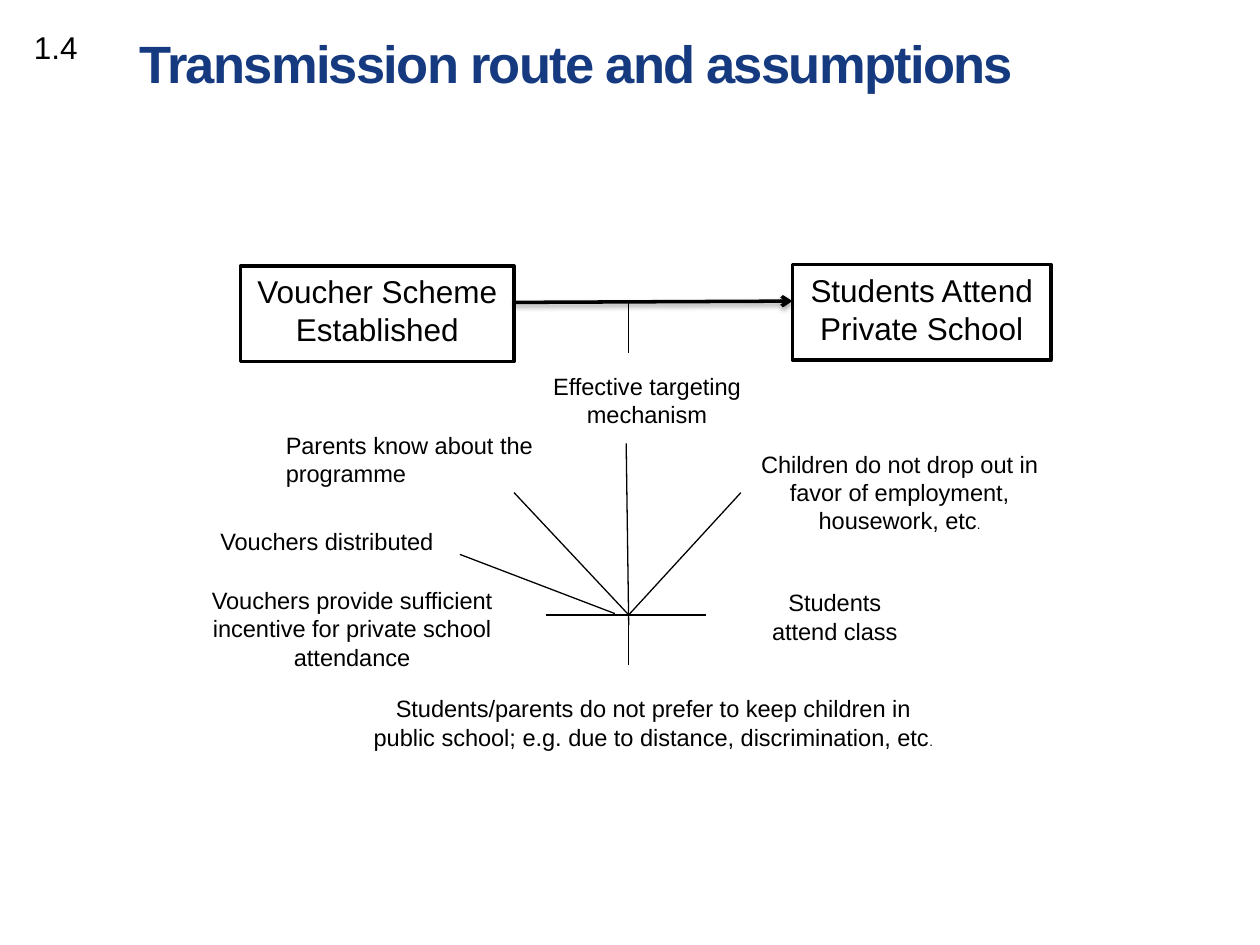
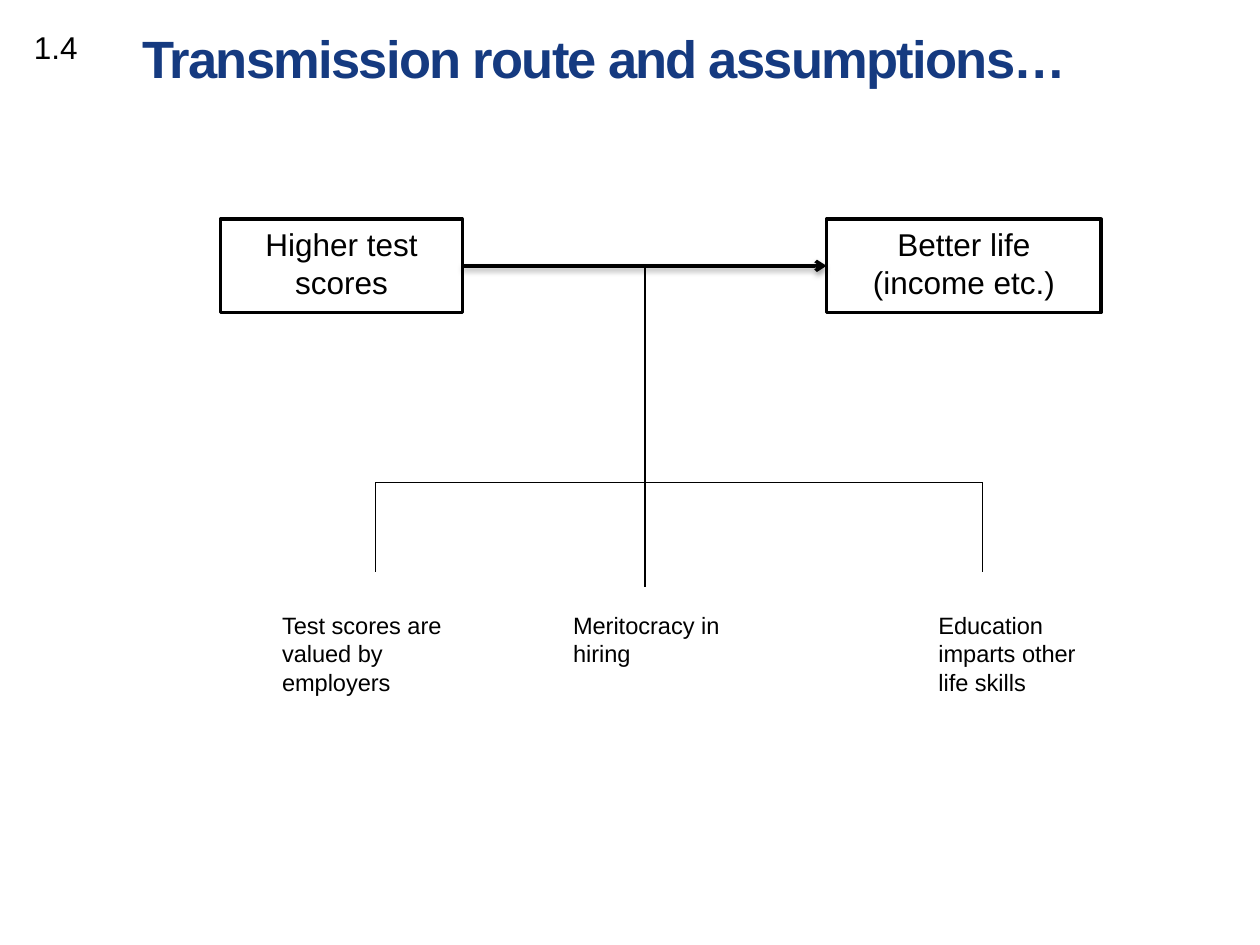
import pptx
import pptx.dml.color
import pptx.enum.shapes
import pptx.enum.text
import pptx.oxml
import pptx.oxml.ns
import pptx.util
from lxml import etree

Inches = pptx.util.Inches
Pt = pptx.util.Pt
Align = pptx.enum.text.PP_ALIGN
Fit = pptx.enum.text.MSO_AUTO_SIZE
LEFT, CENTER = Align.LEFT, Align.CENTER
RIGHT_SIDE, LEFT_SIDE = 3, 1

COLORS = {"title": "153A80", "ink": "000000", "paper": "FFFFFF"}
SHADOW = (
    '<a:effectLst xmlns:a="http://schemas.openxmlformats.org/drawingml/2006/main">'
    '<a:outerShdw blurRad="{blur}" dist="{distance}" dir="5400000" rotWithShape="0">'
    '<a:srgbClr val="{color}"><a:alpha val="38000"/></a:srgbClr>'
    "</a:outerShdw></a:effectLst>"
)


def color(name):
    return pptx.dml.color.RGBColor.from_string(COLORS[name])


class DiagramDeck:
    font_name = "Arial"

    def __init__(self):
        self.deck = pptx.Presentation()
        self.deck.slide_width = Inches(10)
        self.deck.slide_height = Inches(7.5)
        self.page = None

    def add_page(self, title, left, top, width, height):
        self.page = self.deck.slides.add_slide(self.deck.slide_layouts[5])
        self.title(title, left, top, width, height)
        self.label("1.4", 0.17, 0.17, 0.65, 0.4, size=18)

    def style(self, para, size, ink="ink", align=LEFT, bold=False):
        para.alignment = align
        para.font.name = self.font_name
        para.font.size = Pt(size)
        para.font.bold = bold
        para.font.color.rgb = color(ink)

    def title(self, text, left, top, width, height):
        box = self.page.shapes.title
        box.left, box.top = Inches(left), Inches(top)
        box.width, box.height = Inches(width), Inches(height)
        frame = box.text_frame
        frame.text = text
        frame.word_wrap = True
        frame.auto_size = Fit.NONE
        frame.vertical_anchor = pptx.enum.text.MSO_ANCHOR.TOP
        frame.margin_left = frame.margin_right = Inches(0.07)
        frame.margin_top = frame.margin_bottom = Inches(0.04)
        para = frame.paragraphs[0]
        self.style(para, 30, "title", bold=True)
        para.runs[0].font._element.set("spc", "-100")

    def label(self, text, left, top, width, height, align=LEFT, size=13.5, small_end=""):
        box = self.page.shapes.add_textbox(
            Inches(left), Inches(top), Inches(width), Inches(height))
        frame = box.text_frame
        frame.word_wrap = True
        frame.auto_size = Fit.SHAPE_TO_FIT_TEXT
        para = frame.paragraphs[0]
        para.add_run().text = text
        self.style(para, size, align=align)
        if small_end:
            span = para.add_run()
            span.text = small_end
            span.font.size = Pt(7.5)

    def stage(self, text, left, top, width, height):
        box = self.page.shapes.add_shape(
            pptx.enum.shapes.MSO_SHAPE.RECTANGLE,
            Inches(left), Inches(top), Inches(width), Inches(height))
        box.shadow.inherit = False
        box.fill.solid()
        box.fill.fore_color.rgb = color("paper")
        box.line.color.rgb = color("ink")
        box.line.width = Pt(2)
        frame = box.text_frame
        frame.text = text
        frame.word_wrap = True
        frame.vertical_anchor = pptx.enum.text.MSO_ANCHOR.TOP
        self.style(frame.paragraphs[0], 18, align=CENTER)
        return box

    def line(self, start, end, width=0.75):
        line = self.page.shapes.add_connector(
            pptx.enum.shapes.MSO_CONNECTOR.STRAIGHT,
            *(Inches(value) for value in (*start, *end)))
        line.line.color.rgb = color("ink")
        line.line.width = Pt(width)
        etree.SubElement(line._element.spPr, pptx.oxml.ns.qn("a:effectLst"))
        return line

    def arrow(self, start, end):
        arrow = self.line(start, end, 2)
        outline = arrow.line._get_or_add_ln()
        etree.SubElement(outline, pptx.oxml.ns.qn("a:tailEnd"), type="arrow")
        properties = arrow._element.spPr
        properties.remove(properties.find(pptx.oxml.ns.qn("a:effectLst")))
        properties.append(pptx.oxml.parse_xml(SHADOW.format(
            blur=Pt(3.1), distance=Pt(1.6), color=COLORS["ink"])))
        return arrow


def voucher_page(deck):
    deck.add_page("Transmission route and assumptions", 1.04, 0.21, 8.19, 0.62)
    deck.stage("Students Attend Private School", 6.29, 2.1, 2.05, 0.76)
    deck.stage("Voucher Scheme Established", 1.91, 2.11, 2.17, 0.76)
    deck.arrow((4.08, 2.4), (6.29, 2.39))

    hub = (4.99, 4.88)
    for tip in ((4.08, 3.91), (5.88, 3.91), (4.99, 5.28)):
        deck.line(tip, hub)
    for start, end in (
        ((4.99, 2.39), (4.99, 2.8)),
        ((4.33, 4.88), (5.6, 4.88)),
        ((4.97, 3.52), (4.99, 4.96)),
        ((3.65, 4.4), (4.88, 4.87)),
    ):
        deck.line(start, end)

    for text, left, top, width, height, align, small_end in (
        ("Effective targeting mechanism", 4.08, 2.9, 2.11, 0.56, CENTER, ""),
        ("Parents know about the programme", 2.17, 3.37, 2.16, 0.56, LEFT, ""),
        ("Children do not drop out in favor of employment, housework, etc",
         5.79, 3.52, 2.7, 0.78, CENTER, "."),
        ("Vouchers distributed", 1.65, 4.13, 2.28, 0.33, LEFT, ""),
        ("Vouchers provide sufficient incentive for private school attendance",
         1.46, 4.6, 2.67, 0.78, CENTER, ""),
        ("Students attend class", 5.9, 4.62, 1.45, 0.56, CENTER, ""),
        ("Students/parents do not prefer to keep children in public school; "
         "e.g. due to distance, discrimination, etc",
         2.86, 5.46, 4.65, 0.78, CENTER, "."),
    ):
        deck.label(text, left, top, width, height, align, small_end=small_end)


def outcome_page(deck):
    deck.add_page("Transmission route and assumptions…", 1.06, 0.17, 8.66, 0.9)
    scores = deck.stage("Higher test scores", 1.75, 1.74, 1.92, 0.74)
    better_life = deck.stage("Better life (income etc.)", 6.56, 1.74, 2.18, 0.74)
    arrow = deck.arrow((3.67, 2.11), (6.56, 2.11))
    arrow.begin_connect(scores, RIGHT_SIDE)
    arrow.end_connect(better_life, LEFT_SIDE)

    first, middle, last, branch = 2.98, 5.12, 7.8, 3.83
    deck.line((middle, 2.11), (middle, 4.66))
    deck.line((first, branch), (last, branch))
    for x in (first, last):
        deck.line((x, branch), (x, 4.54))

    for text, left, width, height in (
        ("Test scores are valued by employers", 2.14, 1.89, 0.89),
        ("Meritocracy in hiring", 4.45, 1.55, 0.63),
        ("Education imparts other life skills", 7.35, 1.4, 1.15),
    ):
        deck.label(text, left, 4.8, width, height)


def main():
    deck = DiagramDeck()
    voucher_page(deck)
    outcome_page(deck)
    deck.deck.save("out.pptx")


if __name__ == "__main__":
    main()
